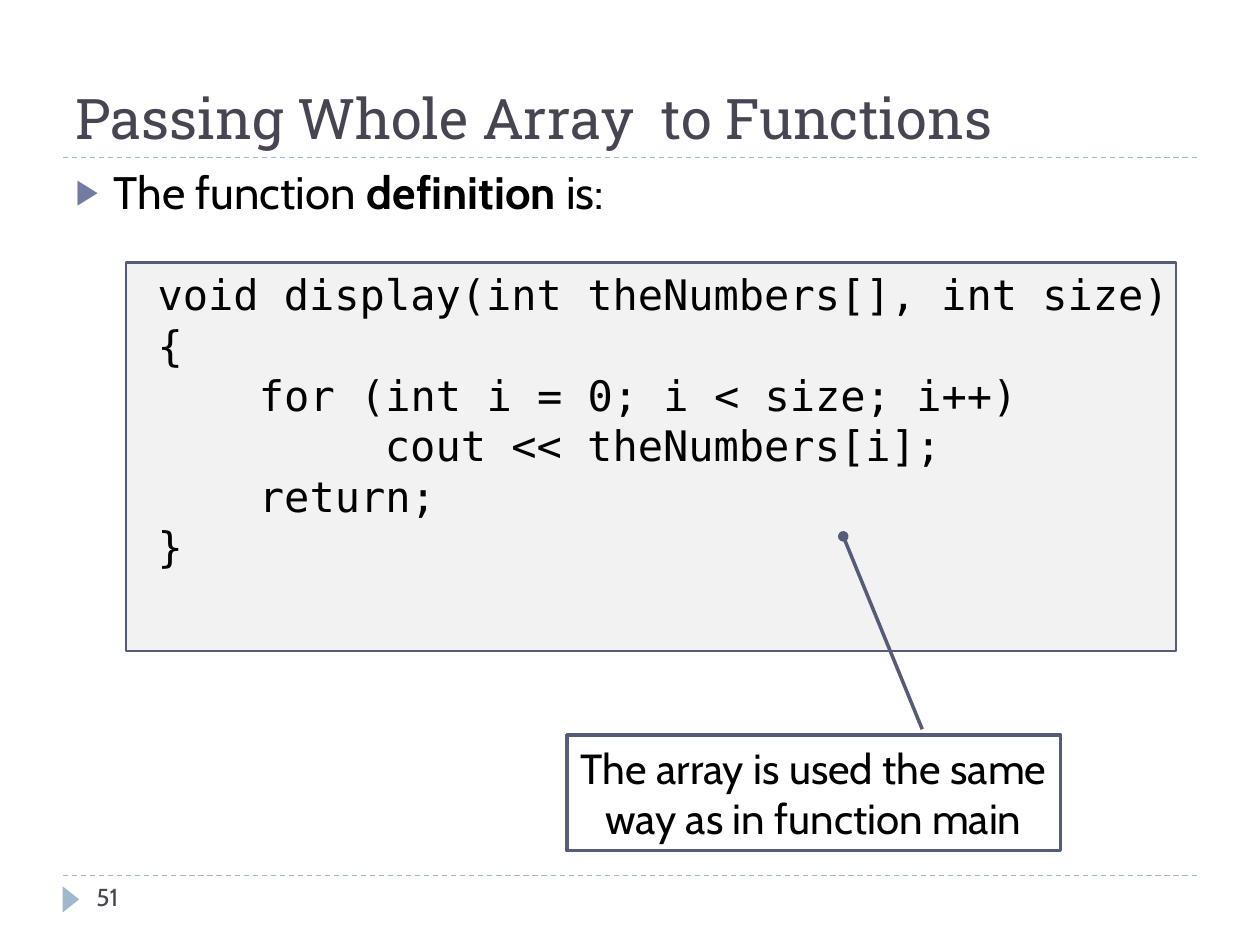
import pptx
import pptx.dml.color
import pptx.enum.dml
import pptx.enum.shapes
import pptx.enum.text
import pptx.oxml
import pptx.oxml.ns
import pptx.util
from pptx.util import Pt

COLORS = {
    "ink": "000000",
    "title": "464653",
    "bullet": "727CA3",
    "rule": "9FB8CD",
    "code_fill": "F2F2F2",
    "border": "545C79",
    "paper": "FFFFFF",
}
BODY_FONT, CODE_FONT, TITLE_FONT = "Cabin", "DejaVu Sans Mono", "Roboto Slab"
SHAPES = pptx.enum.shapes.MSO_SHAPE
ALIGN = pptx.enum.text.PP_ALIGN
ANCHOR = pptx.enum.text.MSO_ANCHOR
CODE_LINES = [
    (0, "void display(int theNumbers[], int size)"),
    (0, "{"),
    (58, "for (int i = 0; i < size; i++)"),
    (130, "cout << theNumbers[i];"),
    (58, "return;"),
    (0, "}"),
]


def rgb(name):
    """Return the palette colour of that name."""
    return pptx.dml.color.RGBColor.from_string(COLORS[name])


def element(tag, **attributes):
    """Make a DrawingML element with the given attributes."""
    made = pptx.oxml.parse_xml(f"<a:{tag} {pptx.oxml.ns.nsdecls('a')}/>")
    for name, value in attributes.items():
        made.set(name, str(value))
    return made


def place(shape, box):
    """Move and size a shape to a box in points."""
    shape.left, shape.top, shape.width, shape.height = map(Pt, box)


def add_run(paragraph, text, size, font, color="ink", bold=False):
    """Append one formatted run to a paragraph."""
    run = paragraph.add_run()
    run.text = text
    run.font.size = Pt(size)
    run.font.name = font
    run.font.bold = bold
    run.font.color.rgb = rgb(color)


def add_panel(slide, kind, box, fill, line=None, weight=0):
    """Add a flat preset shape with a fill and an optional border."""
    panel = slide.shapes.add_shape(kind, *map(Pt, box))
    panel.shadow.inherit = False
    panel.fill.solid()
    panel.fill.fore_color.rgb = rgb(fill)
    if line:
        panel.line.color.rgb = rgb(line)
        panel.line.width = Pt(weight)
    else:
        panel.line.fill.background()
    panel.text_frame.word_wrap = True
    return panel


def add_rule(slide, left, top, width):
    """Draw a dashed horizontal rule."""
    rule = slide.shapes.add_connector(
        pptx.enum.shapes.MSO_CONNECTOR.STRAIGHT,
        Pt(left), Pt(top), Pt(left + width), Pt(top))
    rule.line.color.rgb = rgb("rule")
    rule.line.width = Pt(0.75)
    rule.line.dash_style = pptx.enum.dml.MSO_LINE.DASH
    rule._element.spPr.append(element("effectLst"))


def add_heading(slide, box):
    """Fill the title placeholder and rule it off below."""
    heading = slide.shapes.title
    place(heading, box)
    heading.text_frame.vertical_anchor = ANCHOR.BOTTOM
    paragraph = heading.text_frame.paragraphs[0]
    paragraph.alignment = ALIGN.LEFT
    add_run(paragraph, "Passing Whole Array  to Functions", 32, TITLE_FONT, "title")
    left, top, width, height = box
    add_rule(slide, left, top + height, width)


def add_statement(slide, box):
    """Fill the body placeholder with its bulleted statement."""
    statement = slide.placeholders[1]
    place(statement, box)
    paragraph = statement.text_frame.paragraphs[0]
    paragraph.space_before = Pt(6)
    properties = paragraph._p.get_or_add_pPr()
    properties.set("marL", str(Pt(21.6)))
    properties.set("indent", str(-Pt(21.6)))
    bullet_color = element("buClr")
    bullet_color.append(element("srgbClr", val=COLORS["bullet"]))
    properties.append(bullet_color)
    properties.append(element("buSzPct", val=76000))
    properties.append(element("buChar", char="▶"))
    add_run(paragraph, "The function ", 26, BODY_FONT)
    add_run(paragraph, "definition", 26, BODY_FONT, bold=True)
    add_run(paragraph, " is:", 26, BODY_FONT)


def add_code(slide, box):
    """Add the code listing, each line indented by its margin."""
    listing = add_panel(slide, SHAPES.RECTANGLE, box, "code_fill", "border", 1.5)
    frame = listing.text_frame
    frame.vertical_anchor = ANCHOR.TOP
    frame.margin_left = Pt(18)
    frame.margin_top = frame.margin_right = frame.margin_bottom = Pt(3.6)
    for number, (margin, code) in enumerate(CODE_LINES):
        paragraph = frame.add_paragraph() if number else frame.paragraphs[0]
        paragraph.alignment = ALIGN.LEFT
        paragraph._p.get_or_add_pPr().set("marL", str(Pt(margin)))
        add_run(paragraph, code, 24, CODE_FONT)


def add_remark(slide, box):
    """Add the callout whose dotted leader points into the code."""
    remark = add_panel(slide, SHAPES.LINE_CALLOUT_1, box, "paper", "border", 2)
    for index, value in enumerate((-0.05, 0.72, -1.72, 0.56)):
        remark.adjustments[index] = value
    remark.line._get_or_add_ln().append(element("tailEnd", type="oval"))
    remark.text_frame.vertical_anchor = ANCHOR.MIDDLE
    paragraph = remark.text_frame.paragraphs[0]
    paragraph.alignment = ALIGN.CENTER
    add_run(paragraph, "The array is used the same way as in function main", 24, BODY_FONT)


def add_footer(slide, box):
    """Add the footer rule, its marker and the page number."""
    left, top, width, height = box
    add_rule(slide, left, top, width)
    marker = add_panel(slide, SHAPES.ISOSCELES_TRIANGLE,
                       (left - 3, top + 8.8, 15, 9.5), "rule")
    marker.rotation = 90
    number = slide.shapes.add_textbox(Pt(left + 12), Pt(top), Pt(156), Pt(height))
    number.text_frame.word_wrap = True
    add_run(number.text_frame.paragraphs[0], "51", 14, BODY_FONT, "title")


def main():
    """Build the slide and save it."""
    deck = pptx.Presentation()
    deck.slide_width, deck.slide_height = Pt(720), Pt(540)
    slide = deck.slides.add_slide(deck.slide_layouts[1])
    add_heading(slide, (36, 12, 648, 78))
    add_statement(slide, (36, 90, 660, 414))
    add_code(slide, (72, 150, 600, 222))
    add_remark(slide, (324, 420, 282, 66))
    add_footer(slide, (36, 500.4, 648, 28.8))
    deck.save("out.pptx")


if __name__ == "__main__":
    main()
